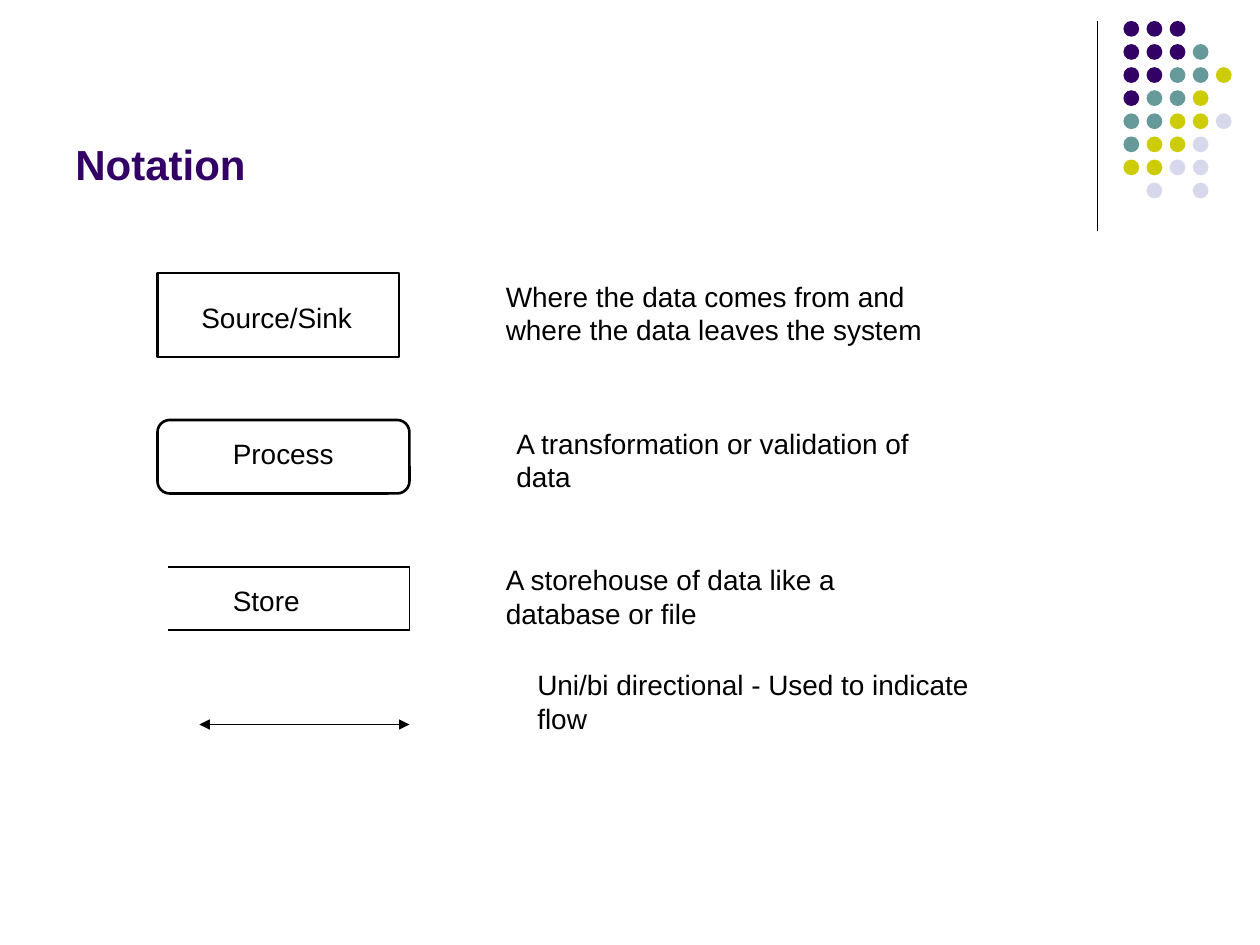
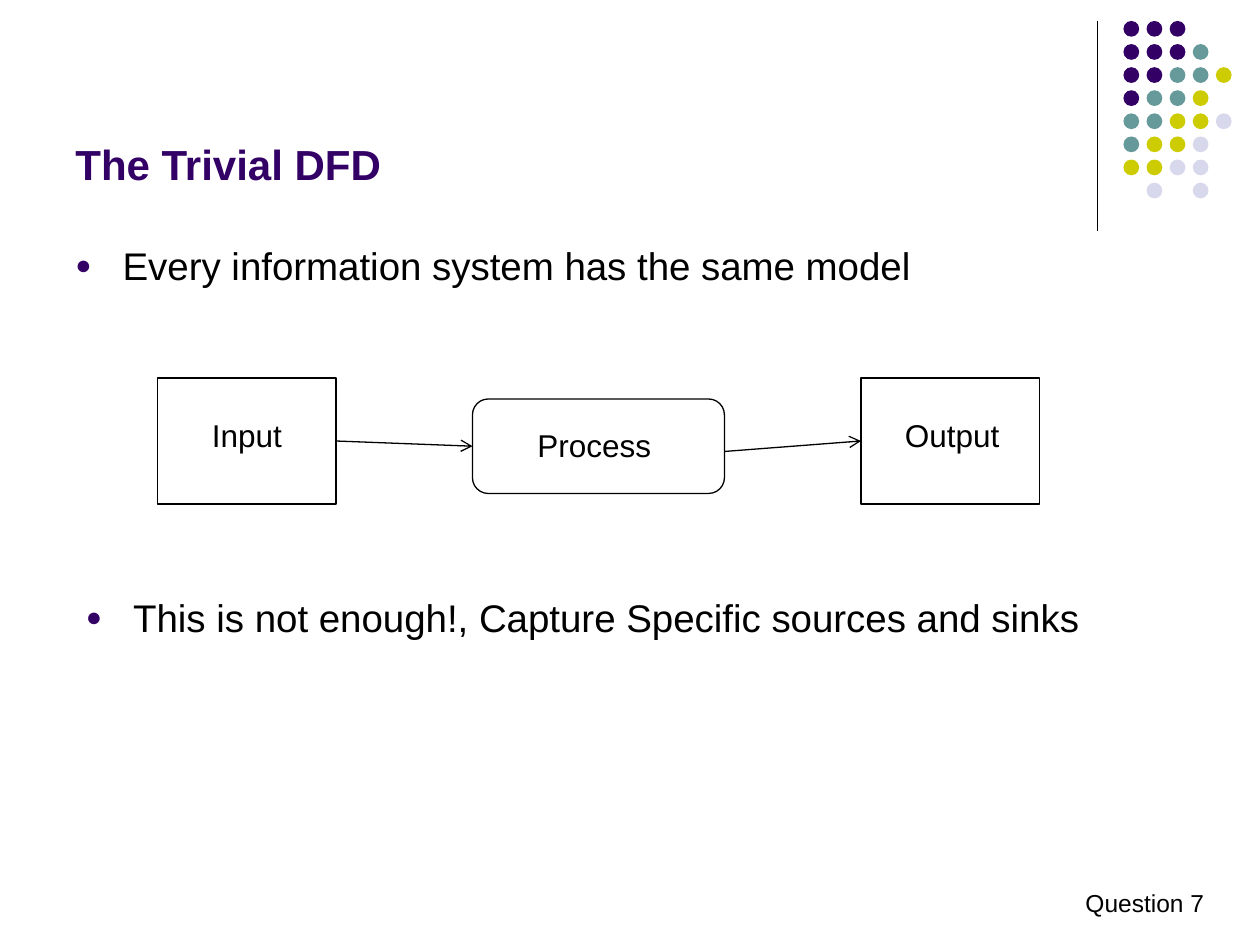
from dataclasses import dataclass

from lxml import etree
from pptx import Presentation
from pptx import util as u
from pptx.dml.color import RGBColor
from pptx.enum import shapes, text
from pptx.oxml import ns

PX = 7620  # EMU per px, 120 px to the inch


@dataclass(frozen=True)
class Theme:
    font: str = "Arial"
    ink: str = "000000"
    purple: str = "330066"
    teal: str = "669999"
    olive: str = "CCCC00"
    lilac: str = "D8D8EC"
    title: int = 24
    bullet: int = 22
    node: int = 18
    body: int = 16
    footer: int = 14
    thin: float = 0.75
    thick: float = 1.5


THEME = Theme()
DOT_COLOURS = {"P": THEME.purple, "T": THEME.teal,
               "O": THEME.olive, "L": THEME.lilac}
DOT_ROWS = ["PPP", "PPPT", "PPTTO", "PTTO", "TTOOL", "TOOL", "OOLL", " L L"]
RECT = shapes.MSO_SHAPE.RECTANGLE
ROUND = shapes.MSO_SHAPE.ROUNDED_RECTANGLE


def px(*lengths):
    return [u.Emu(length * PX) for length in lengths]


def rgb(code):
    return RGBColor.from_string(code)


def add_child(parent, tag, **attributes):
    return etree.SubElement(parent, ns.qn(tag), attributes)


# Basic parts
def add_text(page, box, words, size, wrap=True, colour=THEME.ink, bold=False,
             anchor=text.MSO_ANCHOR.TOP, bullet=False):
    frame = page.shapes.add_textbox(*px(*box)).text_frame
    frame.word_wrap = wrap
    frame.vertical_anchor = anchor
    frame.text = words
    para = frame.paragraphs[0]
    if bullet:
        add_bullet(para)
    font = para.runs[0].font
    font.name, font.size, font.bold = THEME.font, u.Pt(size), bold
    font.color.rgb = rgb(colour)


def add_bullet(para):
    indent = 45 * PX
    props = para._p.get_or_add_pPr()
    props.set("marL", str(indent))
    props.set("indent", str(-indent))
    add_child(add_child(props, "a:buClr"), "a:srgbClr", val=THEME.purple)
    add_child(props, "a:buSzPct", val="70000")
    add_child(props, "a:buFont", typeface=THEME.font)
    add_child(props, "a:buChar", char="●")


def add_outline(page, kind, box, width):
    shape = page.shapes.add_shape(kind, *px(*box))
    shape.shadow.inherit = False
    shape.fill.background()
    shape.line.color.rgb = rgb(THEME.ink)
    shape.line.width = u.Pt(width)
    if kind == ROUND:
        shape.adjustments[0] = 0.167
    return shape


def add_line(page, start, end, head=None, tail=None):
    line = page.shapes.add_connector(shapes.MSO_CONNECTOR.STRAIGHT,
                                     *px(*start, *end))
    line.line.color.rgb = rgb(THEME.ink)
    line.line.width = u.Pt(THEME.thin)
    add_child(line._element.spPr, "a:effectLst")
    stroke = line.line._get_or_add_ln()
    for tag, kind in (("a:headEnd", head), ("a:tailEnd", tail)):
        if kind:
            add_child(stroke, tag, type=kind)
    return line


# Shared frame: rule, dot pattern and title
def add_frame(page, title):
    add_line(page, (1045, 20), (1045, 220))
    add_dots(page, 1070, 20)
    add_text(page, (60, 16, 990, 170), title, THEME.title, bold=True,
             colour=THEME.purple, anchor=text.MSO_ANCHOR.BOTTOM)


def add_dots(page, left, top, step=22):
    group = page.shapes.add_group_shape()
    for row, marks in enumerate(DOT_ROWS):
        for column, mark in enumerate(marks):
            if mark == " ":
                continue
            dot = group.shapes.add_shape(
                shapes.MSO_SHAPE.OVAL,
                *px(left + column * step, top + row * step, 15, 15))
            dot.shadow.inherit = False
            dot.fill.solid()
            dot.fill.fore_color.rgb = rgb(DOT_COLOURS[mark])
            dot.line.fill.background()


# Symbols of the notation, each drawn in the box it is given
def draw_source(page, box):
    add_outline(page, RECT, box, THEME.thick)


def draw_process(page, box):
    add_outline(page, ROUND, box, THEME.thick)


def draw_store(page, box):
    left, top, width, height = box
    right, bottom = left + width, top + height
    add_line(page, (left, top), (right, top))
    add_line(page, (right, top), (right, bottom))
    add_line(page, (left, bottom), (right, bottom))


def draw_flow(page, box):
    left, top, width, _ = box
    add_line(page, (left, top), (left + width, top), "triangle", "triangle")


def build_notation(page):
    add_frame(page, "Notation")
    # Symbol, its box, label, label offset and width, meaning and its place
    rows = [
        (draw_source, (150, 260, 230, 80), "Source/Sink", (30, 20, 167),
         "Where the data comes from and where the data leaves the system",
         (470, 260)),
        (draw_process, (150, 400, 240, 70), "Process", (60, 10, 120),
         "A transformation or validation of data", (480, 400)),
        (draw_store, (160, 540, 230, 60), "Store", (50, 10, 88),
         "A storehouse of data like a database or file", (470, 530)),
        (draw_flow, (190, 690, 200, 0), None, None,
         "Uni/bi directional - Used to indicate flow", (500, 630)),
    ]
    for draw, box, label, offset, meaning, place in rows:
        draw(page, box)
        if label:
            across, down, width = offset
            add_text(page, (box[0] + across, box[1] + down, width, 44),
                     label, THEME.body, wrap=False)
        add_text(page, (*place, 437, 77), meaning, THEME.body)


def add_node(page, kind, box, label, offset, width, wrap=True):
    node = add_outline(page, kind, box, THEME.thin)
    add_text(page, (box[0] + offset[0], box[1] + offset[1], width, 48),
             label, THEME.node, wrap)
    return node


def build_trivial_dfd(page):
    add_frame(page, "The Trivial DFD")
    add_text(page, (60, 225, 1080, 95),
             "Every information system has the same model",
             THEME.bullet, bullet=True)
    add_text(page, (70, 560, 1080, 95),
             "This is not enough!, Capture Specific sources and sinks",
             THEME.bullet, bullet=True)
    # Input, process and output
    source = add_node(page, RECT, (150, 360, 170, 120), "Input", (40, 30), 91)
    sink = add_node(page, RECT, (820, 360, 170, 120), "Output", (30, 30), 120)
    process = add_node(page, ROUND, (450, 380, 240, 90), "Process",
                       (50, 20), 132, wrap=False)
    inflow = add_line(page, (320, 420), (450, 425), tail="arrow")
    inflow.begin_connect(source, 3)
    inflow.end_connect(process, 1)
    outflow = add_line(page, (690, 430), (820, 420), tail="arrow")
    outflow.end_connect(sink, 1)
    # Footer
    add_text(page, (1022, 840, 137, 41), "Question 7", THEME.footer, wrap=False)


def main():
    deck = Presentation()
    deck.slide_width, deck.slide_height = px(1200, 900)
    for build in (build_notation, build_trivial_dfd):
        build(deck.slides.add_slide(deck.slide_layouts[6]))
    deck.save("out.pptx")


if __name__ == "__main__":
    main()
